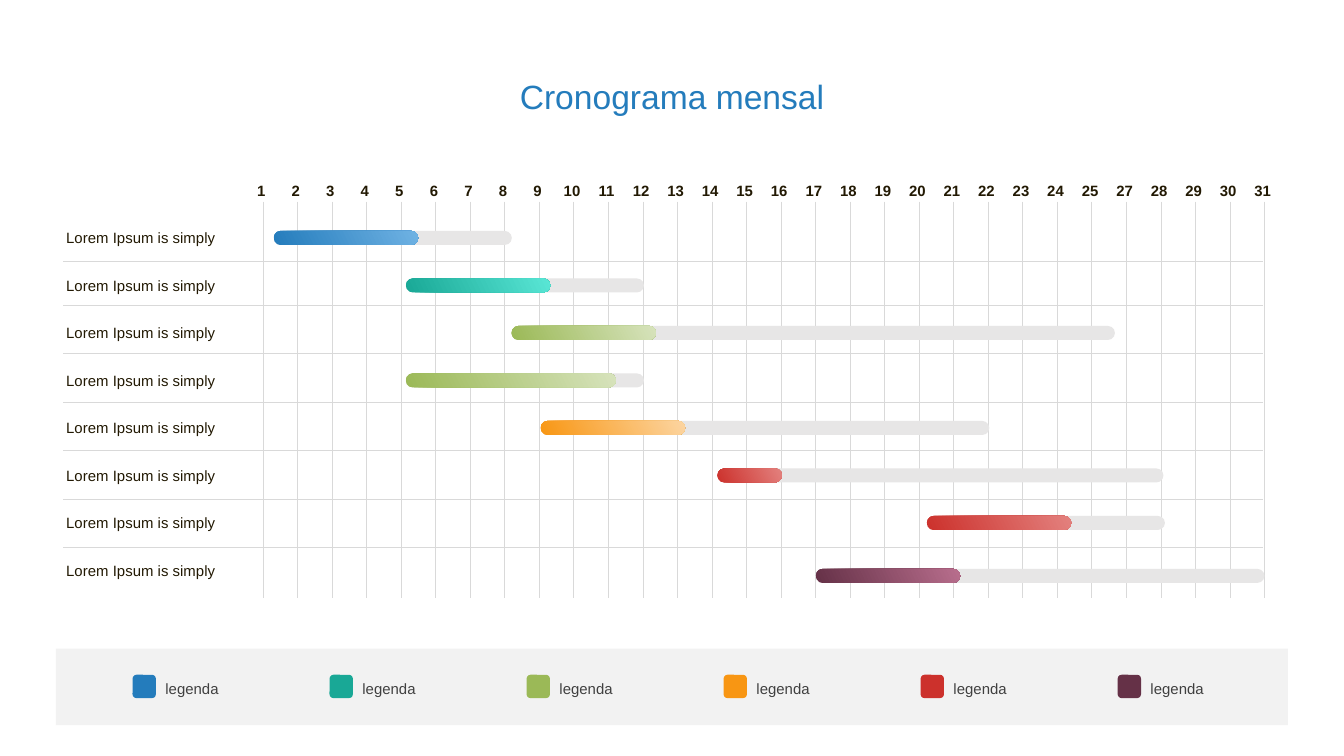
from pptx import Presentation
from pptx.dml.color import RGBColor
from pptx.enum import shapes, text
from pptx.oxml.ns import qn
from pptx.util import Pt
from lxml import etree

FONT = "Arial"
COLORS = {
    "blue": "247CBC", "blue_light": "6FB2E3",
    "teal": "19A896", "teal_light": "59E6D5",
    "green": "9BB957", "green_light": "D7E3BC",
    "orange": "F89613", "orange_light": "FCD5A1",
    "red": "CC312C", "red_light": "E3817E",
    "plum": "653147", "plum_light": "B86E8D",
    "ink": "221903", "legend_text": "404040",
    "grid": "D9D9D9", "track": "E7E6E6", "panel": "F2F2F2",
}
DAYS = [day for day in range(1, 32) if day != 26]
DAY_STEP = 18.5
ROW_STEP = 25.45
BAR_HEIGHT = 7.5
# Task bars: colour, start from the first day line, planned length, done length
TASKS = [
    ("blue", 5.6, 127.6, 77.4),
    ("teal", 76.4, 127.6, 77.4),
    ("green", 133, 323.3, 77.4),
    ("green", 76.4, 127.6, 112.6),
    ("orange", 148.6, 240.4, 77.4),
    ("red", 243.3, 239, 34.6),
    ("red", 355.5, 127.6, 77.4),
    ("plum", 296, 240.4, 77.4),
]
LAST_BAR_DROP = 2.9
DIVIDERS = [31.7, 55.4, 81.4, 107.4, 133.2, 159.2, 185.4]


def color(name):
    return RGBColor.from_string(COLORS[name])


def write(shape, words, size, ink, bold=False, align=text.PP_ALIGN.LEFT, inset=1.5):
    frame = shape.text_frame
    frame.word_wrap = True
    frame.auto_size = text.MSO_AUTO_SIZE.NONE
    frame.vertical_anchor = text.MSO_ANCHOR.MIDDLE
    frame.margin_left = frame.margin_right = Pt(inset)
    frame.margin_top = frame.margin_bottom = Pt(inset)
    frame.text = words
    paragraph = frame.paragraphs[0]
    paragraph.alignment = align
    paragraph.font.name = FONT
    paragraph.font.size = Pt(size)
    paragraph.font.bold = bold
    paragraph.font.color.rgb = color(ink)


def add_text(parent, words, left, top, width, height, **style):
    box = parent.add_textbox(Pt(left), Pt(top), Pt(width), Pt(height))
    write(box, words, 8, **style)


def add_line(slide, x1, y1, x2, y2, weight):
    line = slide.shapes.add_connector(
        shapes.MSO_CONNECTOR.STRAIGHT, Pt(x1), Pt(y1), Pt(x2), Pt(y2))
    line.line.color.rgb = color("grid")
    line.line.width = Pt(weight)
    etree.SubElement(line._element.spPr, qn("a:effectLst"))


def add_block(parent, kind, left, top, width, height, fill, fill_end=None):
    """Borderless shape, with a left-to-right gradient when fill_end is given."""
    shape = parent.add_shape(kind, Pt(left), Pt(top), Pt(width), Pt(height))
    shape.shadow.inherit = False
    shape.line.fill.background()
    if fill_end:
        shape.fill.gradient()
        shape.fill.gradient_angle = 26
        for stop, name in zip(shape.fill.gradient_stops, (fill, fill_end)):
            stop.color.rgb = color(name)
    else:
        shape.fill.solid()
        shape.fill.fore_color.rgb = color(fill)
    return shape


def add_title(slide, left, top, width, height):
    title = slide.shapes.title
    title.left, title.top, title.width, title.height = map(Pt, (left, top, width, height))
    write(title, "Cronograma mensal", 18, "blue", align=text.PP_ALIGN.CENTER)


def add_day_grid(slide, left, top, height):
    for index, day in enumerate(DAYS):
        x = left + index * DAY_STEP
        add_line(slide, x, top, x, top + height, 0.5)
        add_text(slide.shapes, str(day), x - 10.7, top - 11.5, 19.4, 11.5,
                 ink="ink", bold=True, align=text.PP_ALIGN.CENTER)


def add_task_rows(slide, left, top, width, chart_left):
    for offset in DIVIDERS:
        add_line(slide, left, top + offset, left + width, top + offset, 0.25)
    pill = shapes.MSO_SHAPE.ROUNDED_RECTANGLE
    for index, (name, start, planned, done) in enumerate(TASKS):
        row_top = top + 13.6 + index * ROW_STEP
        add_text(slide.shapes, "Lorem Ipsum is simply", left, row_top, 103.7, 11.5, ink="ink")
        bar_top = row_top + 2.1
        if index == len(TASKS) - 1:
            bar_top += LAST_BAR_DROP
        bar_left = chart_left + start
        track = add_block(slide.shapes, pill, bar_left, bar_top, planned, BAR_HEIGHT, "track")
        progress = add_block(slide.shapes, pill, bar_left, bar_top, done, BAR_HEIGHT,
                             name, name + "_light")
        for bar in (track, progress):
            bar.adjustments[0] = 0.5


def add_legend(slide, left, top, width, height):
    add_block(slide.shapes, shapes.MSO_SHAPE.RECTANGLE, left, top, width, height, "panel")
    for index, name in enumerate(("blue", "teal", "green", "orange", "red", "plum")):
        item = slide.shapes.add_group_shape().shapes
        x = left + 41 + index * 105.55
        add_block(item, shapes.MSO_SHAPE.ROUNDED_RECTANGLE, x, top + 14, 12.5, 12.5, name)
        add_text(item, "legenda", x + 17.6, top + 13, 40, 17, ink="legend_text", inset=0)


def main():
    presentation = Presentation()
    presentation.slide_width, presentation.slide_height = Pt(720), Pt(405)
    slide = presentation.slides.add_slide(presentation.slide_layouts[5])
    add_title(slide, 270.5, 37, 179, 29)
    add_day_grid(slide, 141, 108, 212.5)
    add_task_rows(slide, 34, 108, 642.5, 141)
    add_legend(slide, 30, 347.5, 660, 41)
    presentation.save("out.pptx")


if __name__ == "__main__":
    main()
